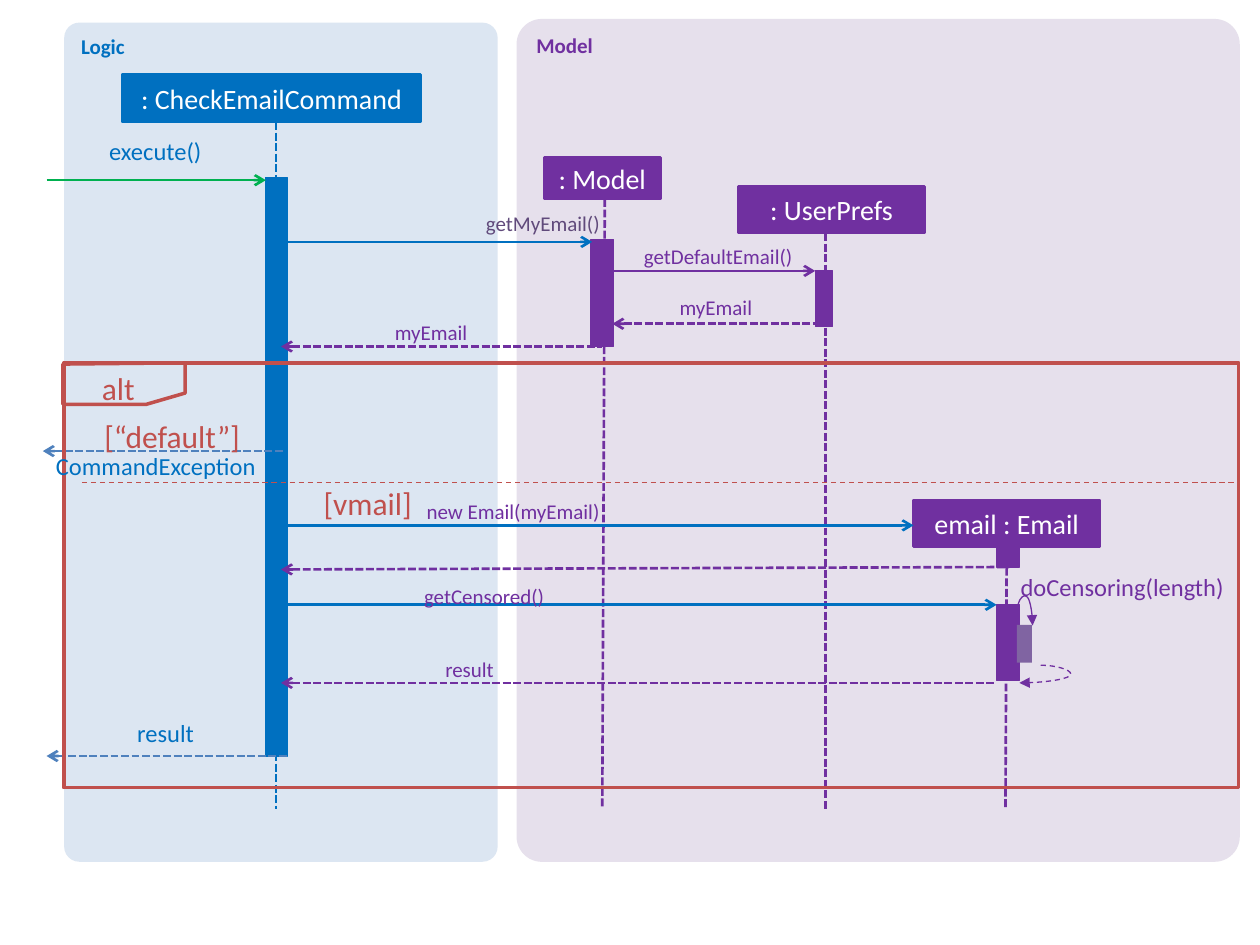
from pptx import Presentation
from pptx.dml.color import RGBColor
from pptx.enum.dml import MSO_LINE as DASH
from pptx.enum.shapes import MSO_CONNECTOR as CONN, MSO_SHAPE as SHAPE
from pptx.enum.text import MSO_ANCHOR as ANCHOR, MSO_AUTO_SIZE as FIT, PP_ALIGN as ALIGN
from pptx.oxml.ns import qn
from pptx.util import Inches, Pt
from lxml.etree import SubElement

COLORS = {
    "logic": "0070C0", "logic_bg": "DCE6F2",
    "model": "7030A0", "model_bg": "E6E0EC",
    "call": "00B050", "reply": "4F81BD", "alt": "C0504D",
    "muted": "604A7B", "self": "8064A2", "white": "FFFFFF",
}
LIFELINE_END = 6.42
DOTS = DASH.SQUARE_DOT


def rgb(name):
    return RGBColor.from_string(COLORS[name])


def add_text(tf, text, size, color, align=ALIGN.LEFT, bold=None):
    tf.word_wrap = True
    p = tf.paragraphs[0]
    p.alignment = align
    r = p.add_run()
    r.text = text
    r.font.name, r.font.size, r.font.bold = "Calibri", Pt(size), bold
    r.font.color.rgb = rgb(color)


def add_box(s, box, fill, line=None, width=0.75, kind=SHAPE.RECTANGLE):
    sp = s.shapes.add_shape(kind, *map(Inches, box))
    sp.shadow.inherit = False
    sp.fill.solid()
    sp.fill.fore_color.rgb = rgb(fill)
    if line:
        sp.line.color.rgb = rgb(line)
        sp.line.width = Pt(width)
    else:
        sp.line.fill.background()
    return sp


def add_line(s, start, end, color, width=1.5, dash=None, head=None, tail=None, kind=CONN.STRAIGHT):
    cx = s.shapes.add_connector(kind, *map(Inches, (*start, *end)))
    cx.line.color.rgb = rgb(color)
    cx.line.width = Pt(width)
    if dash:
        cx.line.dash_style = dash
    ln = cx.line._get_or_add_ln()
    for tag, arrow in (("a:headEnd", head), ("a:tailEnd", tail)):
        if arrow:
            SubElement(ln, qn(tag), type=arrow)
    SubElement(cx._element.spPr, qn("a:effectLst"))
    return cx


def add_label(s, box, text, color="model", size=12, align=ALIGN.RIGHT, inset=0):
    tf = s.shapes.add_textbox(*map(Inches, box)).text_frame
    if not inset:
        tf.margin_left = tf.margin_right = tf.margin_top = tf.margin_bottom = 0
    tf.auto_size = FIT.SHAPE_TO_FIT_TEXT
    add_text(tf, text, size, color, align)


def add_panel(s, box, title, color):
    sp = add_box(s, box, color + "_bg", kind=SHAPE.ROUNDED_RECTANGLE)
    sp.adjustments[0] = 0.035
    sp.text_frame.vertical_anchor = ANCHOR.TOP
    add_text(sp.text_frame, title, 12, color, bold=True)


def add_participant(s, box, name, color, top_x, end_x, bars):
    """Name box, lifeline below it, and activation bars."""
    x, y, w, h = box
    sp = add_box(s, box, color, color, 1.5)
    sp.text_frame.vertical_anchor = ANCHOR.MIDDLE
    add_text(sp.text_frame, name, 16, "white", ALIGN.CENTER)
    add_line(s, (top_x, y + h), (end_x, LIFELINE_END), color, dash=DOTS)
    for bar in bars:
        add_box(s, bar, color, color)


def add_self_arrow(s, box, rot, flip, bend, dash=None):
    x, y, w, h = box
    cx = add_line(s, (x, y), (x + w, y + h), "model", 0.75, dash, tail="triangle", kind=CONN.CURVE)
    xfrm = cx._element.spPr.find(qn("a:xfrm"))
    xfrm.set("rot", str(rot * 60000))
    xfrm.set(flip, "1")
    geom = cx._element.spPr.find(qn("a:prstGeom"))
    guides = geom.find(qn("a:avLst"))
    if guides is None:
        guides = SubElement(geom, qn("a:avLst"))
    SubElement(guides, qn("a:gd"), name="adj1", fmla=f"val {round(bend * 100000)}")


def add_alt_fragment(s, box, divider):
    x, y, w, h = box
    frame = add_box(s, box, "white", "alt", 2, SHAPE.FRAME)
    frame.adjustments[0] = 0
    add_line(s, (x + 0.14, divider), (x + w, divider), "alt", 0.75, DASH.DASH)
    # Operator tab with its cut corner
    tab = [(0, 0.33), (0.65, 0.33), (0.96, 0.24), (0.96, 0), (-0.01, 0.01), (-0.01, 0.33)]
    points = [(Inches(x + dx), Inches(y + dy)) for dx, dy in tab]
    fb = s.shapes.build_freeform(*points[0])
    fb.add_line_segments(points[1:], close=True)
    sp = fb.convert_to_shape()
    sp.shadow.inherit = False
    sp.fill.background()
    sp.line.color.rgb = rgb("alt")
    sp.line.width = Pt(2)
    # Operator and guards
    for dx, dy, tw, text in ((0.2, 0, 0.7, "alt"), (0.22, 0.38, 1.6, "[“default”]"),
                             (1.96, 0.91, 1.6, "[vmail]")):
        add_label(s, (x + dx, y + dy, tw, 0.4), text, "alt", 18, ALIGN.LEFT, inset=1)


prs = Presentation()
prs.slide_width, prs.slide_height = Inches(10), Inches(7.5)
s = prs.slides.add_slide(prs.slide_layouts[6])

# Component panels
add_panel(s, (4.1, 0.15, 5.74, 6.69), "Model", "model")
add_panel(s, (0.51, 0.18, 3.44, 6.66), "Logic", "logic")

# Participants
for participant in (
    ((0.97, 0.59, 2.37, 0.38), ": CheckEmailCommand", "logic", 2.19, 2.19, [(2.11, 1.41, 0.17, 4.59)]),
    ((5.86, 1.48, 1.48, 0.37), ": UserPrefs", "model", 6.55, 6.55, [(6.47, 2.15, 0.14, 0.44)]),
    ((4.32, 1.25, 0.92, 0.33), ": Model", "model", 4.8, 4.78, [(4.69, 1.9, 0.18, 0.85)]),
    ((7.25, 3.97, 1.48, 0.37), "email : Email", "model", 7.99, 7.98,
     [(7.91, 4.25, 0.18, 0.25), (7.91, 4.8, 0.18, 0.6)]),
):
    add_participant(s, *participant)

# Calls
for x1, x2, y, color in ((0.37, 2.11, 1.43, "call"), (2.23, 4.7, 1.92, "logic"),
                         (4.86, 6.47, 2.15, "model"), (2.25, 7.25, 4.17, "logic"),
                         (2.19, 7.91, 4.8, "logic")):
    add_line(s, (x1, y), (x2, y), color, tail="arrow")

# Returns
for x1, y1, x2, y2, color in ((0.37, 6, 2.28, 6, "reply"), (4.86, 2.57, 6.47, 2.57, "model"),
                              (2.23, 2.75, 4.78, 2.75, "model"), (2.23, 4.52, 8.01, 4.5, "model"),
                              (2.23, 5.42, 7.91, 5.42, "model"), (0.34, 3.58, 2.25, 3.58, "reply")):
    add_line(s, (x1, y1), (x2, y2), color, dash=DOTS, head="arrow")

# Self call
add_box(s, (8.07, 4.96, 0.12, 0.3), "self")
add_self_arrow(s, (8.07, 4.84, 0.13, 0.12), 270, "flipH", -0.83)
add_self_arrow(s, (8.09, 5.28, 0.17, 0.14), 180, "flipV", -1.405, DASH.DASH)
add_label(s, (8.1, 4.54, 1.63, 0.24), "doCensoring(length)", size=14, align=ALIGN.LEFT)

# Alternative fragment
add_alt_fragment(s, (0.51, 2.88, 9.32, 3.37), 3.83)

# Message labels
for x, y, w, text in ((0.04, 1.08, 1.56, "execute()"), (0.71, 5.7, 0.83, "result"),
                      (0.29, 3.58, 1.74, "CommandException")):
    add_label(s, (x, y, w, 0.24), text, "logic", 14)
add_label(s, (3.34, 1.67, 1.42, 0.2), "getMyEmail()", "muted")
for x, y, w, text in ((5.05, 1.93, 1.24, "getDefaultEmail()"), (5.34, 2.34, 0.63, "myEmail"),
                      (3.08, 2.54, 0.63, "myEmail"), (3, 3.96, 1.76, "new Email(myEmail)"),
                      (3.08, 4.63, 1.24, "getCensored()"), (3.46, 5.21, 0.46, "result")):
    add_label(s, (x, y, w, 0.2), text)

prs.save("out.pptx")
